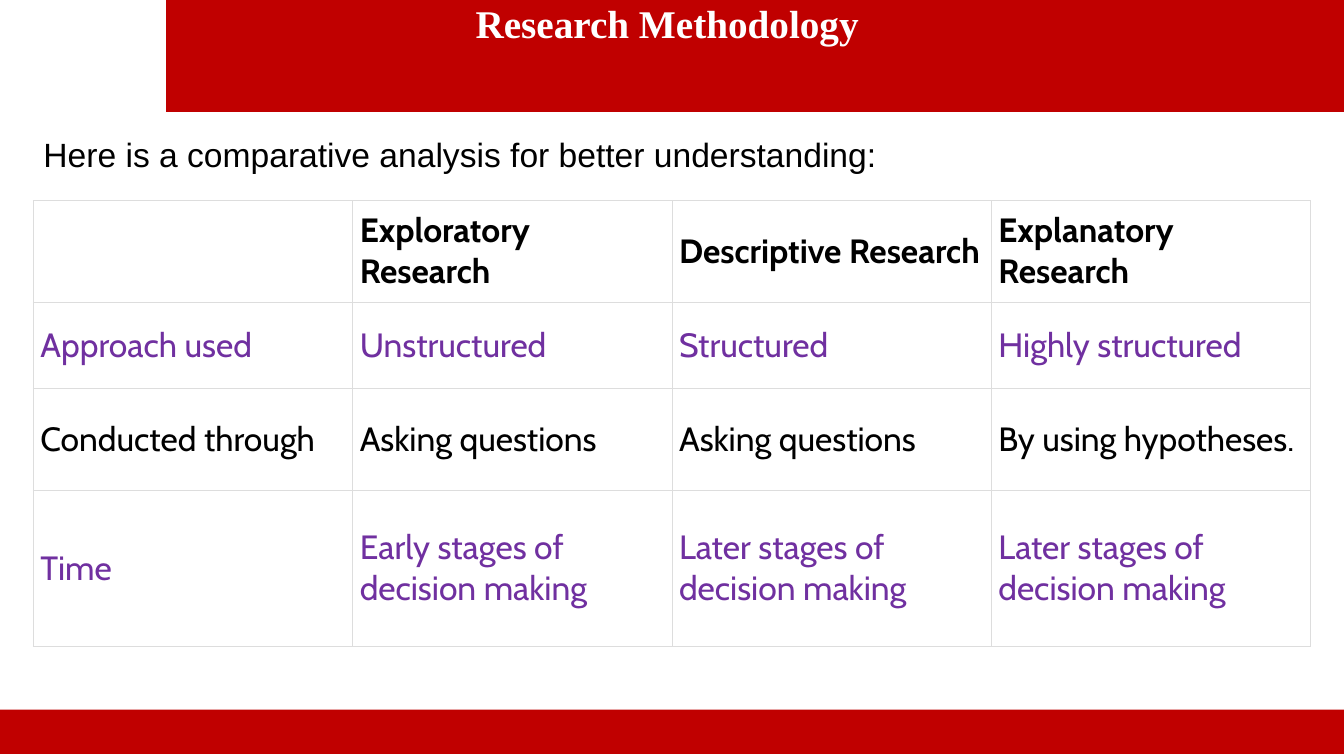
from lxml.etree import SubElement
from pptx import Presentation
from pptx.dml.color import RGBColor
from pptx.enum.shapes import MSO_SHAPE
from pptx.enum.text import MSO_ANCHOR, MSO_AUTO_SIZE, PP_ALIGN
from pptx.oxml.ns import qn
from pptx.util import Cm, Pt

RED = RGBColor(0xC0, 0x00, 0x00)
WHITE = RGBColor(0xFF, 0xFF, 0xFF)
BLACK = RGBColor(0x00, 0x00, 0x00)
PURPLE = RGBColor(0x70, 0x30, 0xA0)
BORDER_GREY = RGBColor(0xDD, 0xDD, 0xDD)

TITLE = "Research Methodology "
INTRO = "Here is a comparative analysis for better understanding:"
COMPARISON = [
    ("", "Exploratory Research", "Descriptive Research", "Explanatory Research"),
    ("Approach used", "Unstructured", "Structured", "Highly structured"),
    ("Conducted through", "Asking questions", "Asking questions", "By using hypotheses."),
    ("Time", "Early stages of decision making", "Later stages of decision making",
     "Later stages of decision making"),
]
ROW_HEIGHTS = [2.57, 2.16, 2.57, 3.94]

SLIDE_WIDTH, SLIDE_HEIGHT = 33.87, 19.05
MARGIN = 0.84
CONTENT_WIDTH = SLIDE_WIDTH - 2 * MARGIN
HEADER_LEFT = 4.19
BARS = [  # left, top, width, height
    (HEADER_LEFT, -0.05, SLIDE_WIDTH - HEADER_LEFT, 2.87),
    (0, 17.88, SLIDE_WIDTH, 1.12),
]


def add_run(paragraph, text, font_name, size, color, bold=False):
    run = paragraph.add_run()
    run.text = text
    run.font.name = font_name
    run.font.size = Pt(size)
    run.font.color.rgb = color
    run.font.bold = bold


def place(shape, left, top, width, height):
    shape.left, shape.top = Cm(left), Cm(top)
    shape.width, shape.height = Cm(width), Cm(height)


def prepare_placeholder(placeholder, alignment, line_spacing):
    """Set up a top-anchored placeholder and return its first paragraph."""
    frame = placeholder.text_frame
    frame.word_wrap = True
    frame.auto_size = MSO_AUTO_SIZE.NONE
    frame.vertical_anchor = MSO_ANCHOR.TOP
    paragraph = frame.paragraphs[0]
    paragraph.alignment = alignment
    paragraph.line_spacing = line_spacing
    paragraph.space_before = Pt(0)
    return paragraph


def add_borders(cell):
    properties = cell._tc.get_or_add_tcPr()
    for side in ("a:lnL", "a:lnR", "a:lnT", "a:lnB"):
        line = SubElement(properties, qn(side), w=str(Pt(0.6)))
        fill = SubElement(line, qn("a:solidFill"))
        SubElement(fill, qn("a:srgbClr"), val=str(BORDER_GREY))


def add_bars(slide):
    """Add the red bars behind the placeholders."""
    for position, box in enumerate(BARS):
        bar = slide.shapes.add_shape(MSO_SHAPE.RECTANGLE, *map(Cm, box))
        bar.shadow.inherit = False
        bar.fill.solid()
        bar.fill.fore_color.rgb = RED
        bar.line.fill.background()
        slide.shapes.element.insert(2 + position, bar.element)


def add_comparison(slide):
    rows, columns = len(COMPARISON), len(COMPARISON[0])
    table = slide.shapes.add_table(
        rows, columns, Cm(MARGIN), Cm(5.05), Cm(CONTENT_WIDTH), Cm(sum(ROW_HEIGHTS))
    ).table
    table.first_row = table.horz_banding = False
    for column in table.columns:
        column.width = Cm(CONTENT_WIDTH / columns)
    for row_index, texts in enumerate(COMPARISON):
        table.rows[row_index].height = Cm(ROW_HEIGHTS[row_index])
        color = PURPLE if row_index % 2 else BLACK
        for column_index, text in enumerate(texts):
            cell = table.cell(row_index, column_index)
            add_borders(cell)
            cell.fill.solid()
            cell.fill.fore_color.rgb = WHITE
            cell.vertical_anchor = MSO_ANCHOR.MIDDLE
            cell.margin_left = cell.margin_right = Cm(0.18)
            cell.margin_top = cell.margin_bottom = Cm(0.08)
            if text:
                add_run(cell.text_frame.paragraphs[0], text, "Cabin", 24, color,
                        bold=row_index == 0)


def main():
    presentation = Presentation()
    presentation.slide_width, presentation.slide_height = Cm(SLIDE_WIDTH), Cm(SLIDE_HEIGHT)
    slide = presentation.slides.add_slide(presentation.slide_layouts[1])
    add_bars(slide)

    title = slide.shapes.title
    place(title, 0, 0, SLIDE_WIDTH, 2.74)
    paragraph = prepare_placeholder(title, PP_ALIGN.CENTER, 0.9)
    add_run(paragraph, TITLE, "Times New Roman", 28, WHITE, bold=True)

    body = slide.placeholders[1]
    place(body, MARGIN, 2.74, CONTENT_WIDTH, 15.24)
    paragraph = prepare_placeholder(body, PP_ALIGN.JUSTIFY, 1.5)
    properties = paragraph._p.get_or_add_pPr()
    properties.set("marL", "0")
    properties.set("indent", "0")
    SubElement(properties, qn("a:buNone"))
    add_run(paragraph, INTRO, "Arial", 24, BLACK)

    add_comparison(slide)
    presentation.save("out.pptx")


if __name__ == "__main__":
    main()
